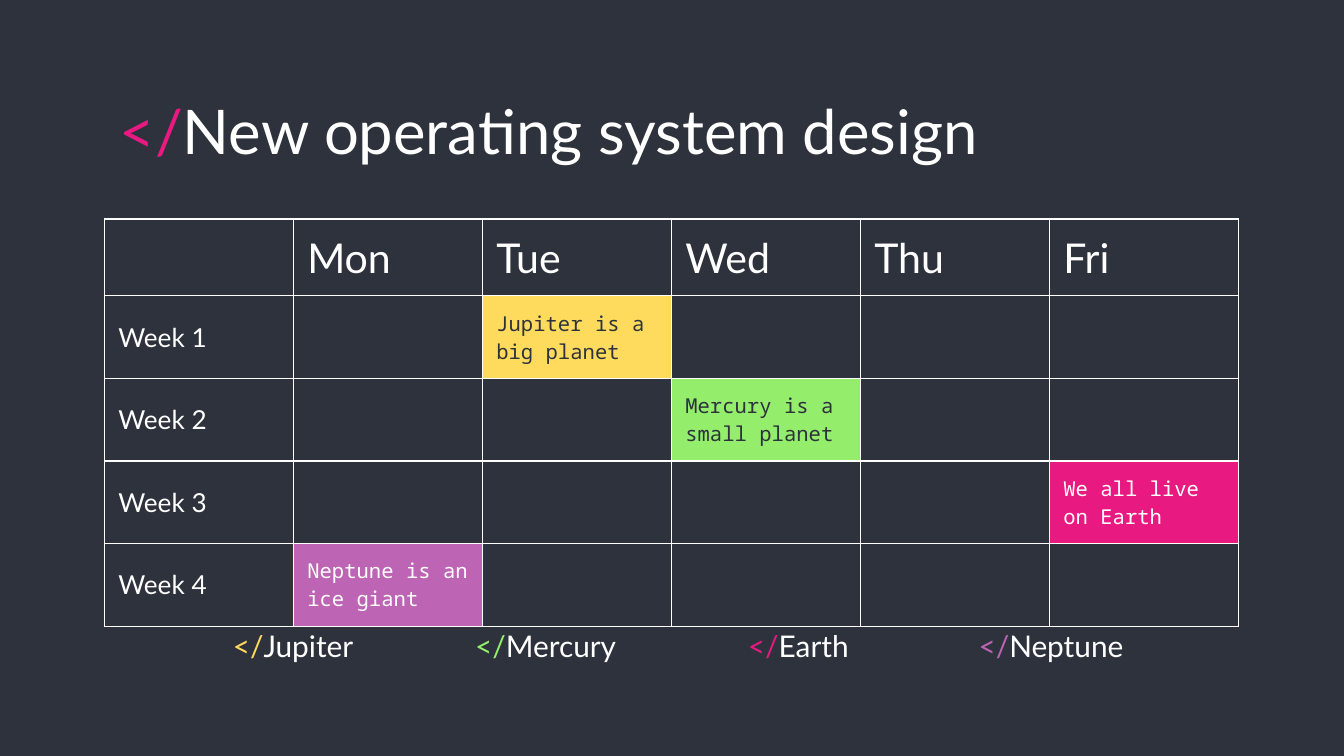
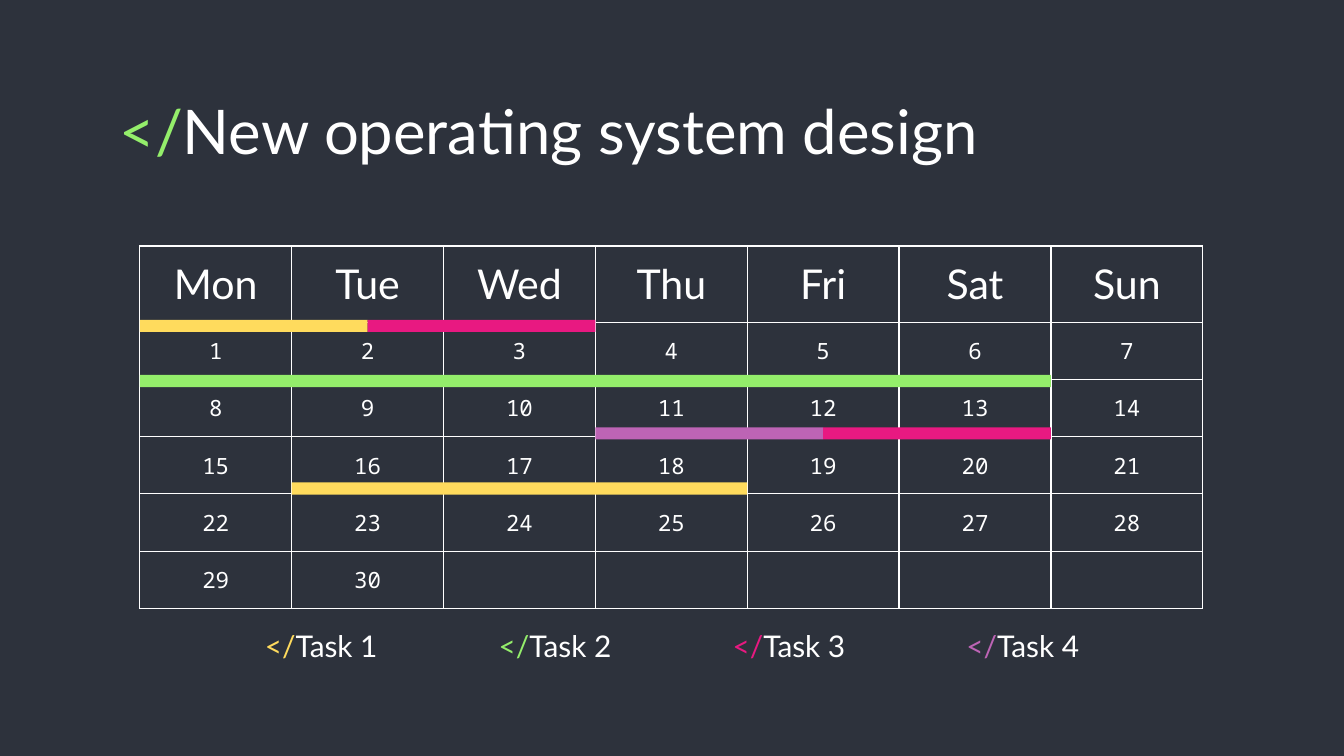
from lxml.etree import SubElement
from pptx import Presentation
from pptx.dml.color import RGBColor
from pptx.enum.shapes import MSO_SHAPE as Shape
from pptx.enum.text import MSO_ANCHOR as Anchor, PP_ALIGN as Align
from pptx.oxml.ns import qn
from pptx.util import Inches, Pt

NAVY = RGBColor(0x2D, 0x32, 0x3C)
WHITE = RGBColor(0xFF, 0xFF, 0xFF)
GOLD = RGBColor(0xFF, 0xDB, 0x5D)
LIME = RGBColor(0x94, 0xEE, 0x6B)
PINK = RGBColor(0xE8, 0x19, 0x81)
PLUM = RGBColor(0xBD, 0x64, 0xB5)
HUES = [GOLD, LIME, PINK, PLUM]
SANS, MONO = "Lato", "Noto Sans Mono"
DAYS = ["Mon", "Tue", "Wed", "Thu", "Fri", "Sat", "Sun"]
TITLE = "New operating system design"
WIDE = 10


def add_run(para, text, size, color=WHITE, font=SANS):
    """Add one styled run to a paragraph."""
    run = para.add_run()
    run.text = text
    run.font.size = Pt(size)
    run.font.name = font
    run.font.color.rgb = color


def add_tag(shapes, text, hue, size, box, align=Align.LEFT, anchor=Anchor.TOP):
    """Add a text box whose words follow a coloured code mark."""
    frame = shapes.add_textbox(*map(Inches, box)).text_frame
    frame.word_wrap = True
    frame.vertical_anchor = anchor
    frame.margin_left = frame.margin_right = Inches(0.1)
    frame.margin_top = frame.margin_bottom = Inches(0.1)
    para = frame.paragraphs[0]
    para.alignment = align
    add_run(para, "</", size, hue)
    add_run(para, text, size)


def add_page(deck, hue):
    """Add a dark slide with the shared title."""
    page = deck.slides.add_slide(deck.slide_layouts[6])
    page.background.fill.solid()
    page.background.fill.fore_color.rgb = NAVY
    add_tag(page.shapes, TITLE, hue, 33, (0.79, 0.59, 8.43, 0.63))
    return page


def add_key(page, names, width, step):
    """Add a centred row of coloured labels as a group."""
    group = page.shapes.add_group_shape()
    for i, (name, hue) in enumerate(zip(names, HUES)):
        left = (WIDE - width) / 2 + (i - 1.5) * step
        add_tag(group.shapes, name, hue, 16, (left, 4.64, width, 0.4),
                Align.CENTER, Anchor.BOTTOM)


def add_grid(page, left, top, width, head, body, rows, cols):
    """Add a table of empty cells with white borders."""
    size = map(Inches, (left, top, width, head + body))
    grid = page.shapes.add_table(rows, cols, *size).table
    grid.first_row = grid.horz_banding = False
    for col in grid.columns:
        col.width = Inches(width / cols)
    for i, row in enumerate(grid.rows):
        row.height = Inches(body / (rows - 1) if i else head)
    for cell in grid.iter_cells():
        style_cell(cell)
    return grid


def style_cell(cell):
    """Give a cell its borders, margins and clear fill."""
    props = cell._tc.get_or_add_tcPr()
    for side in ("lnL", "lnR", "lnT", "lnB"):
        line = SubElement(props, qn(f"a:{side}"), w=str(Pt(0.75)))
        fill = SubElement(line, qn("a:solidFill"))
        SubElement(fill, qn("a:srgbClr"), val=str(WHITE))
    cell.fill.background()
    cell.vertical_anchor = Anchor.MIDDLE
    cell.margin_left = cell.margin_right = Inches(0.1)
    cell.margin_top = cell.margin_bottom = Inches(0.1)
    end = cell.text_frame.paragraphs[0]._p.get_or_add_endParaRPr()
    end.set("sz", "1200")


def put(cell, text, size, color=WHITE, font=SANS, align=Align.LEFT):
    """Write text into a table cell."""
    para = cell.text_frame.paragraphs[0]
    para.alignment = align
    add_run(para, text, size, color, font)


def add_bar(page, left, top, width, hue):
    """Add a flat task bar."""
    box = map(Inches, (left, top, width, 0.09))
    bar = page.shapes.add_shape(Shape.RECTANGLE, *box)
    bar.shadow.inherit = False
    bar.fill.solid()
    bar.fill.fore_color.rgb = hue
    bar.line.fill.background()


def add_weeks(deck):
    """Build the slide that plans four working weeks."""
    page = add_page(deck, PINK)
    grid = add_grid(page, 0.78, 1.63, 8.44, 0.57, 2.46, 5, 6)
    for i, day in enumerate(DAYS[:5], 1):
        put(grid.cell(0, i), day, 22)
    notes = [
        (2, "Jupiter is a big planet", NAVY),
        (3, "Mercury is a small planet", NAVY),
        (5, "We all live on Earth", WHITE),
        (1, "Neptune is an ice giant", WHITE),
    ]
    for week, ((col, note, ink), hue) in enumerate(zip(notes, HUES), 1):
        put(grid.cell(week, 0), f"Week {week}", 14)
        cell = grid.cell(week, col)
        cell.fill.solid()
        cell.fill.fore_color.rgb = hue
        put(cell, note, 11, ink, MONO)
    add_key(page, ["Jupiter", "Mercury", "Earth", "Neptune"], 1.41, 1.88)


def add_month(deck):
    """Build the slide with a month calendar and task bars."""
    page = add_page(deck, LIME)
    left, pitch = 1.04, 1.13
    grid = add_grid(page, left, 1.83, pitch * 7, 0.56, 2.13, 6, 7)
    for i, day in enumerate(DAYS):
        put(grid.cell(0, i), day, 22, align=Align.CENTER)
    for date in range(30):
        cell = grid.cell(date // 7 + 1, date % 7)
        put(cell, str(date + 1), 12, WHITE, MONO, Align.CENTER)
    bars = [
        (0, 2.38, 1.5, GOLD),
        (1.5, 2.38, 1.5, PINK),
        (0, 2.79, 6, LIME),
        (3, 3.18, 1.5, PLUM),
        (4.5, 3.18, 1.5, PINK),
        (1, 3.59, 3, GOLD),
    ]
    for start, top, span, hue in bars:
        add_bar(page, left + start * pitch, top, span * pitch, hue)
    add_key(page, [f"Task {i}" for i in range(1, 5)], 1.31, 1.74)


def main():
    """Build and save the deck."""
    deck = Presentation()
    deck.slide_width = Inches(WIDE)
    deck.slide_height = Inches(WIDE * 9 / 16)
    add_weeks(deck)
    add_month(deck)
    deck.save("out.pptx")


if __name__ == "__main__":
    main()
